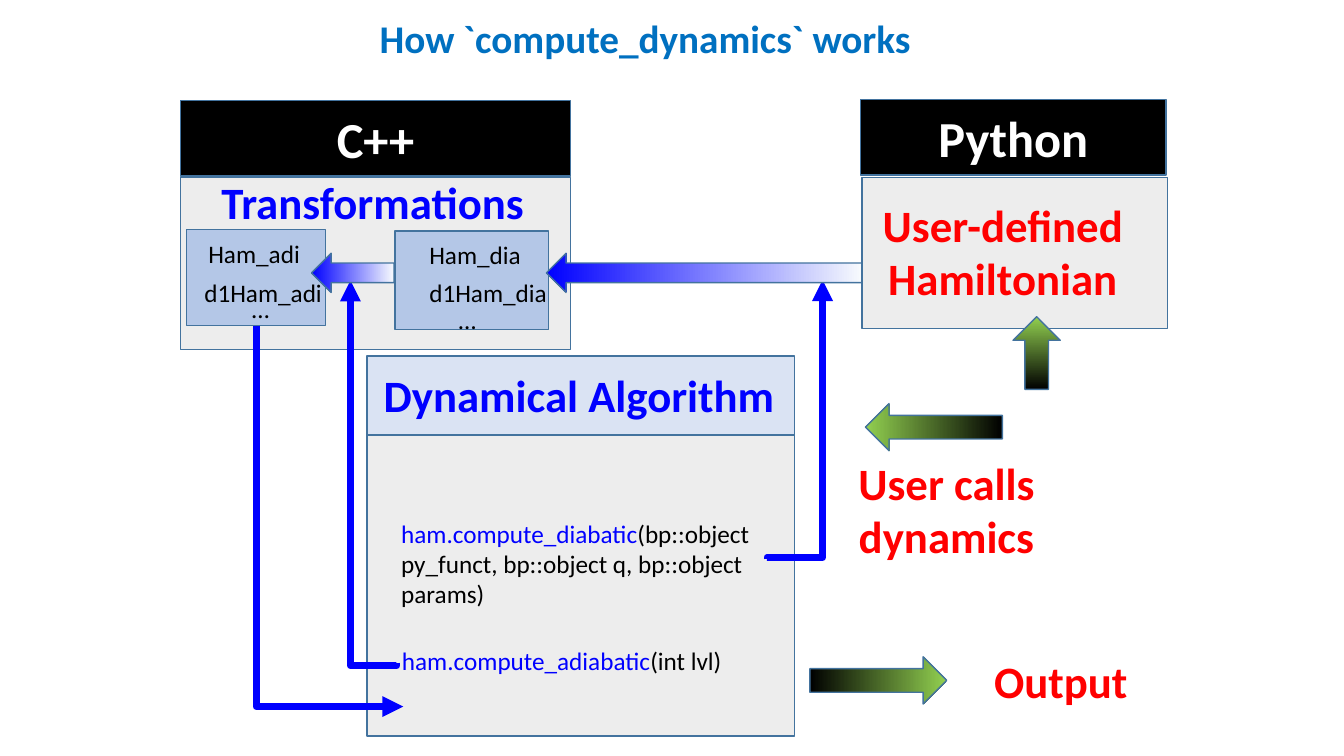
import pptx
import pptx.dml.color
import pptx.enum.shapes
import pptx.enum.text
import pptx.oxml
import pptx.oxml.ns
import pptx.util
from lxml import etree

Cm = pptx.util.Cm
Pt = pptx.util.Pt
RGB = pptx.dml.color.RGBColor
Form = pptx.enum.shapes.MSO_SHAPE
Align = pptx.enum.text.PP_ALIGN
Anchor = pptx.enum.text.MSO_ANCHOR
Fit = pptx.enum.text.MSO_AUTO_SIZE
qn = pptx.oxml.ns.qn

BLACK = RGB(0x00, 0x00, 0x00)
WHITE = RGB(0xFF, 0xFF, 0xFF)
BLUE = RGB(0x00, 0x00, 0xFF)
RED = RGB(0xFF, 0x00, 0x00)
SKY = RGB(0x00, 0x70, 0xC0)
EDGE = RGB(0x43, 0x73, 0x9E)
GREY = RGB(0xED, 0xED, 0xED)
PALE = RGB(0xDA, 0xE3, 0xF3)
MID = RGB(0xB4, 0xC7, 0xE7)
MIST = RGB(0xF7, 0xFA, 0xFD)
GREEN = RGB(0x92, 0xD0, 0x50)


def style(para, size, color, bold=False, align=Align.LEFT):
    """Set the font and alignment of a paragraph."""
    para.alignment = align
    font = para.font
    font.name = "Calibri"
    font.size = Pt(size)
    font.bold = bold
    font.color.rgb = color


def form(shapes, kind, box):
    """Add a preset shape with a thin edge and no shadow."""
    shape = shapes.add_shape(kind, *map(Cm, box))
    shape.shadow.inherit = False
    shape.line.color.rgb = EDGE
    shape.line.width = Pt(1)
    return shape


def panel(shapes, box, color):
    """Add a filled rectangle."""
    shape = form(shapes, Form.RECTANGLE, box)
    shape.fill.solid()
    shape.fill.fore_color.rgb = color
    return shape


def label(shapes, box, lines, size, color, bold=False, align=Align.LEFT, wrap=False):
    """Add a text box with one paragraph per line and return its frame."""
    frame = shapes.add_textbox(*map(Cm, box)).text_frame
    frame.word_wrap = wrap
    frame.auto_size = Fit.SHAPE_TO_FIT_TEXT
    frame.text = "\n".join(lines)
    for para in frame.paragraphs:
        style(para, size, color, bold, align)
    return frame


def banner(shapes, box, text):
    """Add a black header with a white caption."""
    frame = panel(shapes, box, BLACK).text_frame
    frame.text = text
    frame.vertical_anchor = Anchor.MIDDLE
    style(frame.paragraphs[0], 36, WHITE, True, Align.CENTER)


def call(shapes, box, name, args, wrap):
    """Add a function call with its name in blue."""
    para = label(shapes, box, [name], 18, BLACK, wrap=wrap).paragraphs[0]
    para.runs[0].font.color.rgb = BLUE
    para.add_run().text = args


def arrow(shapes, kind, box, turn, start, end, angle):
    """Add a block arrow with a gradient fill."""
    shape = form(shapes, kind, box)
    shape.rotation = turn
    shape.fill.gradient()
    shape.fill.gradient_angle = angle
    for stop, color in zip(shape.fill.gradient_stops, (start, end)):
        stop.color.rgb = color


def elbow(shapes, box, turn, flips, kind, bend=None):
    """Add a bent blue connector with an arrowhead."""
    x, y, w, h = box
    wire = shapes.add_connector(pptx.enum.shapes.MSO_CONNECTOR.ELBOW,
                                Cm(x), Cm(y), Cm(x + w), Cm(y + h))
    wire.line.color.rgb = BLUE
    wire.line.width = Pt(5)
    props = wire._element.spPr
    frame = props.find(qn("a:xfrm"))
    frame.set("rot", str(turn * 60000))
    for flip in flips:
        frame.set("flip" + flip, "1")
    geom = props.find(qn("a:prstGeom"))
    geom.set("prst", kind)
    if bend is not None:
        guide = etree.SubElement(geom.find(qn("a:avLst")), qn("a:gd"))
        guide.set("name", "adj1")
        guide.set("fmla", f"val {bend}")
    etree.SubElement(props.find(qn("a:ln")), qn("a:tailEnd")).set("type", "triangle")
    etree.SubElement(props, qn("a:effectLst"))


def title(slide, box):
    """Place and format the slide title."""
    holder = slide.shapes.title
    holder.left, holder.top, holder.width, holder.height = map(Cm, box)
    frame = holder.text_frame
    frame.text = "How `compute_dynamics` works"
    frame.vertical_anchor = Anchor.TOP
    frame.auto_size = Fit.NONE
    style(frame.paragraphs[0], 28, SKY, True, Align.CENTER)


def dynamics(shapes, box):
    """Draw the algorithm panel with its two calls."""
    x, y, w, h = box
    head = 1.99
    panel(shapes, (x, y, w, head), PALE)
    panel(shapes, (x, y + head, w, h - head), GREY)
    label(shapes, (x + 0.17, y + 0.17, 10.44, 1.63),
          ["Dynamical Algorithm"], 32, BLUE, True)
    call(shapes, (x + 0.61, y + 3.96, 9.42, 2.57), "ham.compute_diabatic",
         "(bp::object py_funct, bp::object q, bp::object params)", True)
    call(shapes, (x + 0.63, y + 7.16, 8.66, 1.02), "ham.compute_adiabatic",
         "(int lvl)", False)


def matrix(shapes, box, kind, spots):
    """Draw a grouped box that lists one Hamiltonian form."""
    group = shapes.add_group_shape().shapes
    panel(group, box, MID)
    texts = f"Ham_{kind}", f"d1Ham_{kind}", "…"
    for text, wide, (dx, dy) in zip(texts, (2.84, 3.51, 0.97), spots):
        label(group, (box[0] + dx, box[1] + dy, wide, 1.02), [text], 18, BLACK)


def native(shapes, box):
    """Draw the C++ panel with its transformations."""
    x, y, w, h = box
    panel(shapes, (x, y + 1.93, w, h - 1.93), GREY)
    matrix(shapes, (x + 5.41, y + 3.28, 3.86, 2.49), "dia",
           ((0.61, 0.08), (0.61, 1.04), (1.35, 1.73)))
    matrix(shapes, (x + 0.15, y + 3.25, 3.51, 2.41), "adi",
           ((0.3, 0.1), (0.2, 1.07), (1.4, 1.47)))
    banner(shapes, (x, y, w, 1.9), "C++")
    label(shapes, (x + 0.78, y + 1.73, 8.2, 1.63), ["Transformations"], 32, BLUE, True)


def script(shapes, box):
    """Draw the Python panel with the user Hamiltonian."""
    x, y, w, h = box
    group = shapes.add_group_shape().shapes
    panel(group, (x + 0.03, y + 1.96, w, h - 1.96), GREY)
    label(group, (x + 0.26, y + 2.34, 6.65, 3),
          ["User-defined", "Hamiltonian"], 32, RED, True, Align.CENTER)
    banner(shapes, (x, y, w, 1.9), "Python")


def flow(shapes):
    """Draw the connectors and block arrows between the panels."""
    elbow(shapes, (16.51, 9.88, 7.04, 1.4), 90, "HV", "bentConnector3", 700)
    elbow(shapes, (4.6, 11.3, 9.63, 1.17), 270, "V", "bentConnector3", -800)
    elbow(shapes, (3.51, 11.15, 9.6, 3.71), 270, "H", "bentConnector2")
    for x, w in ((7.85, 2.08), (13.77, 7.95)):
        arrow(shapes, Form.RIGHT_ARROW, (x, 6.38, w, 0.99), 180, MIST, BLUE, 0)
    for x, y, h, turn in ((25.53, 7.98, 1.83, 180), (22.94, 9.04, 3.45, 90),
                          (21.54, 15.42, 3.45, 270)):
        arrow(shapes, Form.DOWN_ARROW, (x, y, 1.19, h), turn, BLACK, GREEN, 270)


def user(shapes, box):
    """Add the red notes on the call and its output."""
    x, y, w, h = box
    label(shapes, (x, y, w, 3), ["User calls dynamics"], 32, RED, True,
          Align.CENTER, True)
    label(shapes, (x + 3.73, y + h - 1.63, 5.21, 1.63), ["Output"], 32, RED, True,
          Align.CENTER, True)


def main():
    """Build the slide and save it."""
    deck = pptx.Presentation()
    deck.slide_width, deck.slide_height = Cm(33.87), Cm(19.05)
    slide = deck.slides.add_slide(deck.slide_layouts[5])
    shapes = slide.shapes
    title(slide, (5.79, 0.23, 20.93, 1.45))
    dynamics(shapes, (9.25, 8.97, 10.77, 9.58))
    native(shapes, (4.55, 2.54, 9.83, 6.27))
    script(shapes, (21.69, 2.51, 7.7, 5.77))
    flow(shapes)
    user(shapes, (20.4, 11.35, 6.91, 6.64))
    deck.save("out.pptx")


if __name__ == "__main__":
    main()
